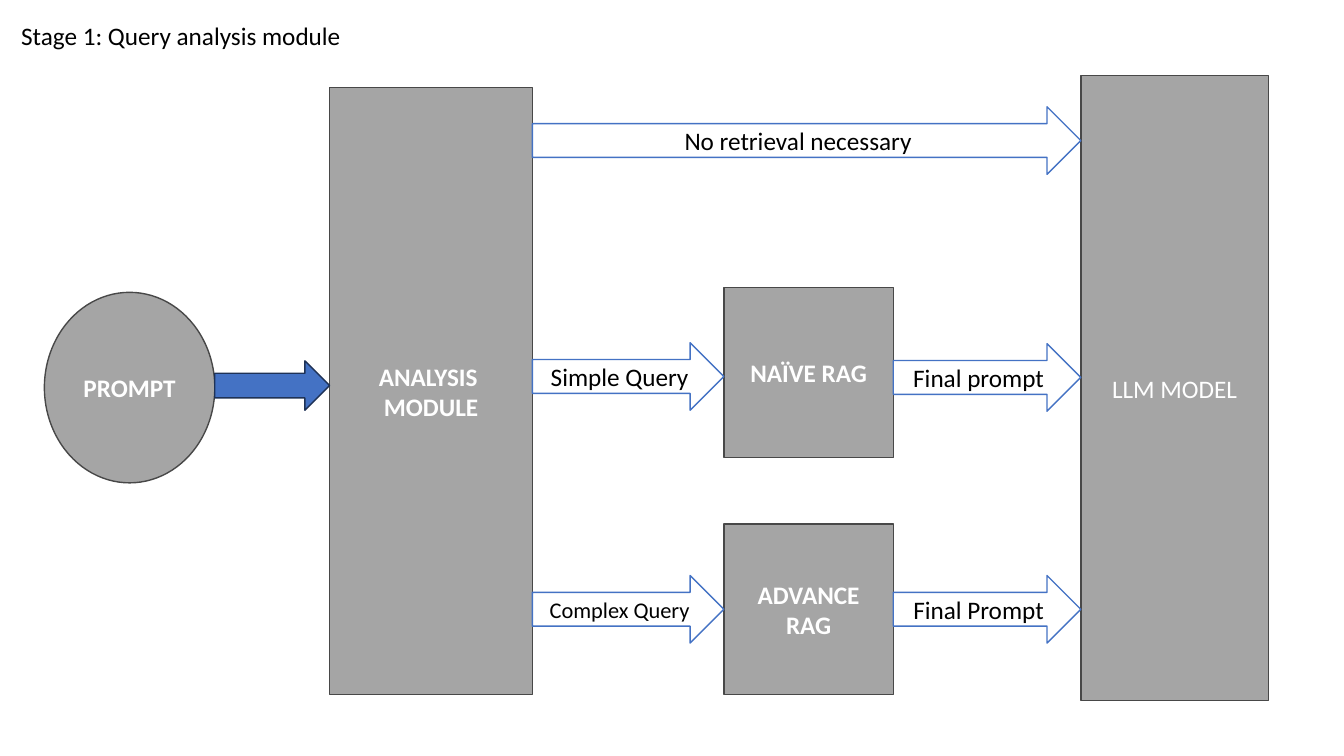
from pptx import Presentation
from pptx.dml.color import RGBColor
from pptx.enum.shapes import MSO_SHAPE
from pptx.enum.text import MSO_ANCHOR, PP_ALIGN
from pptx.util import Inches, Pt

RECTANGLE, OVAL, ARROW = MSO_SHAPE.RECTANGLE, MSO_SHAPE.OVAL, MSO_SHAPE.RIGHT_ARROW
MIDDLE, TOP = MSO_ANCHOR.MIDDLE, MSO_ANCHOR.TOP
CENTER, LEFT = PP_ALIGN.CENTER, PP_ALIGN.LEFT

WHITE = RGBColor(0xFF, 0xFF, 0xFF)
BLACK = RGBColor(0x00, 0x00, 0x00)
GRAY = RGBColor(0xA5, 0xA5, 0xA5)
DARK_GRAY = RGBColor(0x48, 0x48, 0x48)
BLUE = RGBColor(0x44, 0x72, 0xC4)
NAVY = RGBColor(0x1E, 0x32, 0x56)


def write(frame, text, color, size=18, bold=False, align=CENTER, anchor=MIDDLE):
    frame.text = text
    frame.word_wrap = True
    frame.vertical_anchor = anchor
    paragraph = frame.paragraphs[0]
    paragraph.alignment = align
    paragraph.font.name = "Calibri"
    paragraph.font.size = Pt(size)
    paragraph.font.bold = bold
    paragraph.font.color.rgb = color


def add_block(preset, box, fill, outline):
    block = slide.shapes.add_shape(preset, *map(Inches, box))
    block.shadow.inherit = False
    block.fill.solid()
    block.fill.fore_color.rgb = fill
    block.line.color.rgb = outline
    block.line.width = Pt(1)
    return block


prs = Presentation()
prs.slide_width, prs.slide_height = Inches(13.33), Inches(7.5)
slide = prs.slides.add_slide(prs.slide_layouts[5])

title = slide.shapes.title
title.left, title.top = Inches(0.11), Inches(0.15)
title.width, title.height = Inches(4.55), Inches(0.4)
write(title.text_frame, "Stage 1: Query analysis module", BLACK, align=LEFT, anchor=TOP)

# Column edges shared by the blocks and the arrows between them
PROMPT_RIGHT = 2.13
ANALYSIS_LEFT, ANALYSIS_RIGHT = 3.27, 5.28
RAG_LEFT, RAG_RIGHT = 7.18, 8.86
LLM_LEFT = 10.72
RAG_WIDTH = RAG_RIGHT - RAG_LEFT

stages = [
    ("PROMPT", OVAL, (0.44, 2.9, 1.69, 1.89), True),
    ("ANALYSIS \vMODULE", RECTANGLE,
     (ANALYSIS_LEFT, 0.87, ANALYSIS_RIGHT - ANALYSIS_LEFT, 6.02), True),
    ("NAÏVE RAG", RECTANGLE, (RAG_LEFT, 2.85, RAG_WIDTH, 1.69), True),
    ("ADVANCE RAG", RECTANGLE, (RAG_LEFT, 5.2, RAG_WIDTH, 1.69), True),
    ("LLM MODEL", RECTANGLE, (LLM_LEFT, 0.75, 1.86, 6.2), False),
]
for label, preset, box, bold in stages:
    stage = add_block(preset, box, GRAY, DARK_GRAY)
    write(stage.text_frame, label, WHITE, bold=bold)

add_block(ARROW, (PROMPT_RIGHT, 3.58, ANALYSIS_LEFT - PROMPT_RIGHT, 0.49), BLUE, NAVY)

routes = [
    ("No retrieval necessary", ANALYSIS_RIGHT, LLM_LEFT, 1.06, 18),
    ("Simple Query", ANALYSIS_RIGHT, RAG_LEFT, 3.4, 18),
    ("Complex Query", ANALYSIS_RIGHT, RAG_LEFT, 5.71, 16),
    ("Final prompt", RAG_RIGHT, LLM_LEFT, 3.41, 18),
    ("Final Prompt", RAG_RIGHT, LLM_LEFT, 5.71, 18),
]
for label, start, end, top, size in routes:
    route = add_block(ARROW, (start, top, end - start, 0.67), WHITE, BLUE)
    write(route.text_frame, label, BLACK, size)

prs.save("out.pptx")
